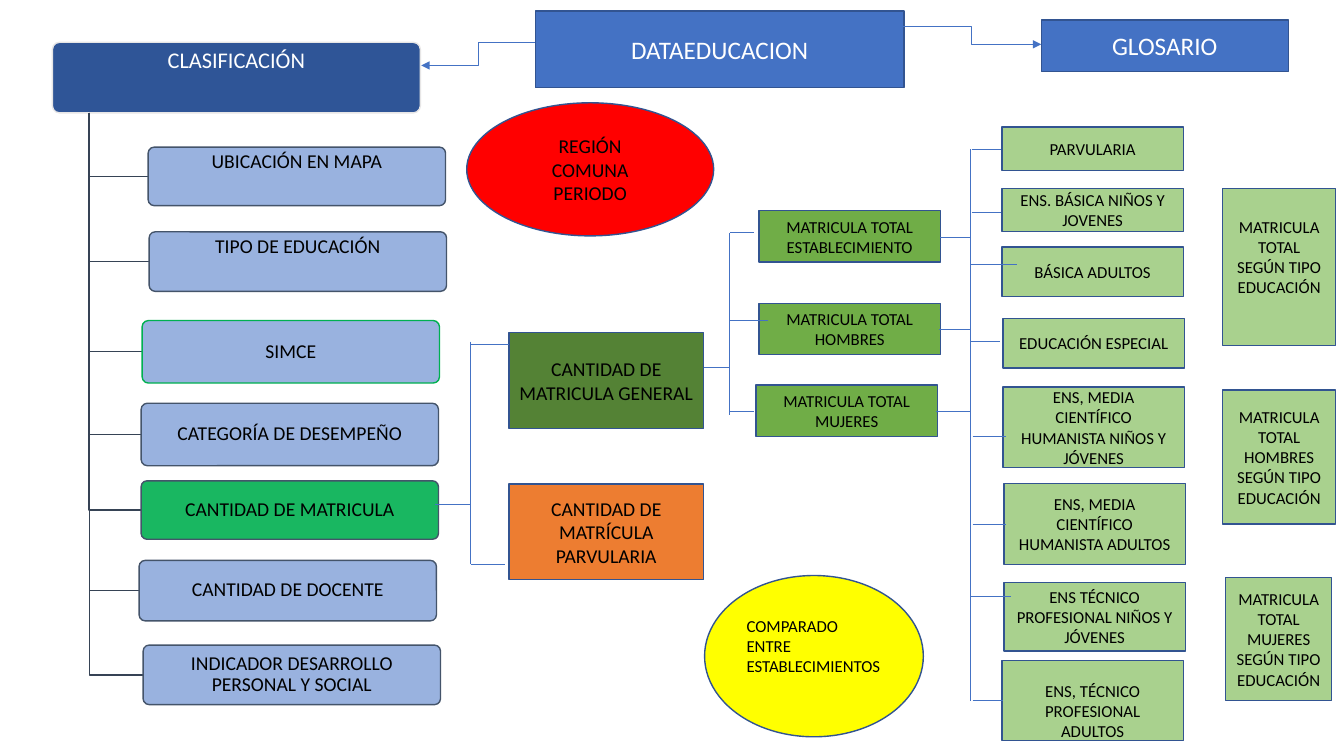
from dataclasses import dataclass

import lxml.etree
import pptx
import pptx.dml.color
import pptx.enum.shapes
import pptx.enum.text
import pptx.oxml.ns
import pptx.util

FONT = "Calibri"
BLUE, NAVY, PERIWINKLE = "4472C4", "2F5597", "8FAADC"
LEAF, GRASS, FOREST = "A9D18E", "70AD47", "548235"
OUTLINE, SLATE, STEM = "325491", "44546A", "364355"
BLACK, WHITE = "000000", "FFFFFF"

RECT = pptx.enum.shapes.MSO_SHAPE.RECTANGLE
ROUND = pptx.enum.shapes.MSO_SHAPE.ROUNDED_RECTANGLE
OVAL = pptx.enum.shapes.MSO_SHAPE.OVAL
CENTER = pptx.enum.text.PP_ALIGN.CENTER
LEFT = pptx.enum.text.PP_ALIGN.LEFT


@dataclass(frozen=True)
class Node:
    lines: tuple[str, ...]
    col: float
    row: float
    cols: float
    rows: float
    fill: str
    size: int = 12
    ink: str = BLACK
    outline: str = OUTLINE
    form: int = RECT
    align: int = CENTER
    lift: float = 0
    opacity: int = 100


@dataclass(frozen=True)
class Bracket:
    trunk: float
    top: float
    bottom: float
    twigs: tuple[tuple[float, float, float], ...]


@dataclass(frozen=True)
class Arrow:
    col: float
    row: float
    end_col: float
    end_row: float


def grid(units: float) -> int:
    return pptx.util.Inches(units / 10)


def color(code: str) -> pptx.dml.color.RGBColor:
    return pptx.dml.color.RGBColor.from_string(code)


def add_tag(parent, tag: str, **attributes: str) -> None:
    lxml.etree.SubElement(parent, pptx.oxml.ns.qn(tag), **attributes)


def draw_node(slide, node: Node) -> None:
    box = slide.shapes.add_shape(
        node.form, grid(node.col), grid(node.row), grid(node.cols), grid(node.rows))
    box.shadow.inherit = False
    box.fill.solid()
    box.fill.fore_color.rgb = color(node.fill)
    if node.opacity < 100:
        tint = box._element.spPr.find(".//" + pptx.oxml.ns.qn("a:srgbClr"))
        add_tag(tint, "a:alpha", val=str(node.opacity * 1000))
    box.line.color.rgb = color(node.outline)
    box.line.width = pptx.util.Pt(1)
    rounded = node.form == ROUND
    if rounded:
        box.adjustments[0] = 0.1
    frame = box.text_frame
    frame.word_wrap = True
    frame.vertical_anchor = pptx.enum.text.MSO_ANCHOR.MIDDLE
    side, edge = (0.3, 0.2) if rounded else (1, 0.5)
    frame.margin_left = frame.margin_right = grid(side)
    frame.margin_top = grid(edge + max(0, -2 * node.lift))
    frame.margin_bottom = grid(edge + max(0, 2 * node.lift))
    for index, line in enumerate(node.lines):
        paragraph = frame.add_paragraph() if index else frame.paragraphs[0]
        paragraph.alignment = node.align
        if rounded:
            paragraph.line_spacing = 0.9
        run = paragraph.add_run()
        run.text = line
        run.font.name = FONT
        run.font.size = pptx.util.Pt(node.size)
        run.font.color.rgb = color(node.ink)


def draw_stem(slide, parent: Node, child: Node) -> None:
    trunk = grid(parent.col + parent.cols / 10)
    middle = grid(child.row + child.rows / 2)
    builder = slide.shapes.build_freeform(trunk, grid(parent.row + parent.rows))
    builder.add_line_segments([(trunk, middle), (grid(child.col), middle)], close=False)
    stem = builder.convert_to_shape()
    stem.shadow.inherit = False
    stem.fill.background()
    stem.line.color.rgb = color(STEM)
    stem.line.width = pptx.util.Pt(1)


def draw_link(slide, link: Arrow, arrow: bool = False) -> None:
    kinds = pptx.enum.shapes.MSO_CONNECTOR
    wire = slide.shapes.add_connector(
        kinds.ELBOW if arrow else kinds.STRAIGHT,
        grid(link.col), grid(link.row), grid(link.end_col), grid(link.end_row))
    wire.line.color.rgb = color(BLUE)
    wire.line.width = pptx.util.Pt(0.5)
    outline = wire._element.spPr.find(pptx.oxml.ns.qn("a:ln"))
    if arrow:
        add_tag(outline, "a:tailEnd", type="triangle")
    add_tag(wire._element.spPr, "a:effectLst")


def draw_bracket(slide, bracket: Bracket) -> None:
    draw_link(slide, Arrow(bracket.trunk, bracket.top, bracket.trunk, bracket.bottom))
    for start, end, row in bracket.twigs:
        draw_link(slide, Arrow(start, row, end, row))


def branch(text: str, col: float, row: float, rows: float, fill: str = PERIWINKLE,
           outline: str = SLATE, lift: float = 0) -> Node:
    return Node((text,), col, row, 29.5, rows, fill, 14, outline=outline,
                form=ROUND, lift=lift, opacity=90)


def level(text: str, col: float, row: float, rows: float, lift: float = 0) -> Node:
    return Node((text,), col, row, 18, rows, LEAF, lift=lift)


CLASSIFICATION = Node(("CLASIFICACIÓN",), 5.2, 4.2, 36.5, 7, NAVY, 16, WHITE,
                      "E7E6E6", ROUND, lift=1.65)
BRANCHES = (
    branch("UBICACIÓN EN MAPA", 14.7, 14.6, 5.8, lift=1.4),
    branch("TIPO DE EDUCACIÓN", 14.8, 23, 5.9, lift=1.4),
    branch("SIMCE", 14.1, 31.8, 6.2, outline="00B050"),
    branch("CATEGORÍA DE DESEMPEÑO", 14, 40, 6.2),
    branch("CANTIDAD DE MATRICULA", 14, 47.7, 5.8, fill="00B050"),
    branch("CANTIDAD DE DOCENTE", 13.8, 55.6, 6),
    branch("INDICADOR DESARROLLO PERSONAL Y SOCIAL", 14.2, 64, 5.9),
)
NODES = (
    Node(("DATAEDUCACION",), 53.1, 1.1, 36.6, 7.6, BLUE, 18, WHITE),
    Node(("GLOSARIO",), 103.3, 2, 24.5, 5.1, BLUE, 18, WHITE),
    Node(("CANTIDAD DE MATRICULA GENERAL",), 50.5, 33, 19.3, 9.5, FOREST, 14),
    Node(("CANTIDAD DE MATRÍCULA PARVULARIA",), 50.5, 48, 19.3, 9.5, "ED7D31", 14),
    Node(("MATRICULA TOTAL ESTABLECIMIENTO",), 75.3, 20.9, 18, 5.1, GRASS),
    Node(("MATRICULA TOTAL HOMBRES",), 75.3, 30.1, 18, 5.1, GRASS),
    Node(("MATRICULA TOTAL MUJERES",), 75, 38.2, 18, 5.1, GRASS),
    level("PARVULARIA", 99.4, 12.6, 4.3),
    level("ENS. BÁSICA NIÑOS Y JOVENES", 99.4, 18.7, 4.3),
    level("BÁSICA ADULTOS", 99.4, 24.5, 4.9),
    level("EDUCACIÓN ESPECIAL", 99.5, 31.6, 4.9),
    level("ENS, MEDIA CIENTÍFICO HUMANISTA NIÑOS Y JÓVENES", 99.5, 38.4, 8),
    level("ENS, MEDIA CIENTÍFICO HUMANISTA ADULTOS", 99.6, 48, 8),
    level("ENS TÉCNICO PROFESIONAL NIÑOS Y JÓVENES", 99.6, 57.8, 6.8),
    level("ENS, TÉCNICO PROFESIONAL ADULTOS", 99.4, 65.5, 8, lift=-1),
    Node(("MATRICULA TOTAL SEGÚN TIPO EDUCACIÓN",), 121.3, 18.7, 11.2, 15.6, LEAF, lift=1),
    Node(("MATRICULA TOTAL HOMBRES SEGÚN TIPO EDUCACIÓN",), 121.3, 38.7, 11.2, 13.3, LEAF),
    Node(("MATRICULA TOTAL MUJERES SEGÚN TIPO EDUCACIÓN",), 121.6, 57.3, 10.5, 12.2, LEAF),
    Node(("REGIÓN", "COMUNA", "PERIODO"), 46.3, 10.2, 24.5, 13.2, "FF0000", 14, form=OVAL),
    Node(("COMPARADO ENTRE ESTABLECIMIENTOS",), 69.9, 57.1, 21.7, 16, "FFFF00",
         form=OVAL, align=LEFT, lift=1),
)
ARROWS = (Arrow(53.1, 4.2, 41.8, 6.5), Arrow(89.5, 2.6, 103.3, 4.4))
BRACKETS = (
    Bracket(46.7, 33.9, 56, ((43.2, 46.7, 50), (46.7, 50.5, 34.2), (46.7, 50.1, 56))),
    Bracket(72.4, 23.1, 41.2, ((69.8, 72.4, 36.4), (72.4, 74.8, 23.1),
                               (72.4, 76.2, 31.8), (72.4, 74.8, 40.8))),
    Bracket(96.3, 14.8, 69.5, (
        (93.3, 96.3, 23.5), (93.2, 96.3, 32.7), (92.9, 96.3, 40.8),
        (96.4, 99.3, 14.8), (96.4, 99.3, 21.1), (96.3, 100.9, 26.2),
        (96.3, 99.2, 33.9), (96.5, 99.8, 43.3), (96.5, 99.8, 52),
        (96.3, 100.3, 59.2), (96.5, 99.5, 69.5))),
)


def main() -> None:
    deck = pptx.Presentation()
    deck.slide_width, deck.slide_height = grid(133.33), grid(75)
    slide = deck.slides.add_slide(deck.slide_layouts[6])
    draw_node(slide, CLASSIFICATION)
    for child in BRANCHES:
        draw_stem(slide, CLASSIFICATION, child)
        draw_node(slide, child)
    for node in NODES:
        draw_node(slide, node)
    for arrow in ARROWS:
        draw_link(slide, arrow, arrow=True)
    for bracket in BRACKETS:
        draw_bracket(slide, bracket)
    deck.save("out.pptx")


if __name__ == "__main__":
    main()
